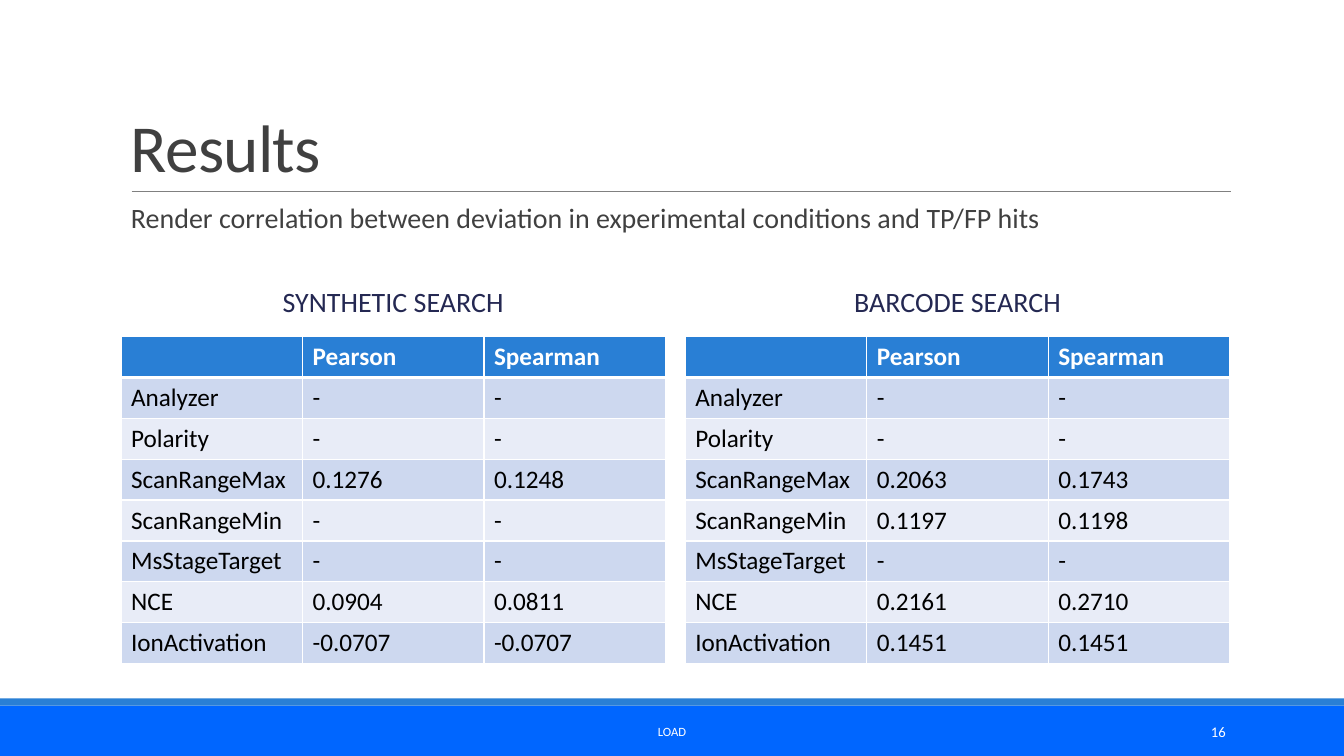
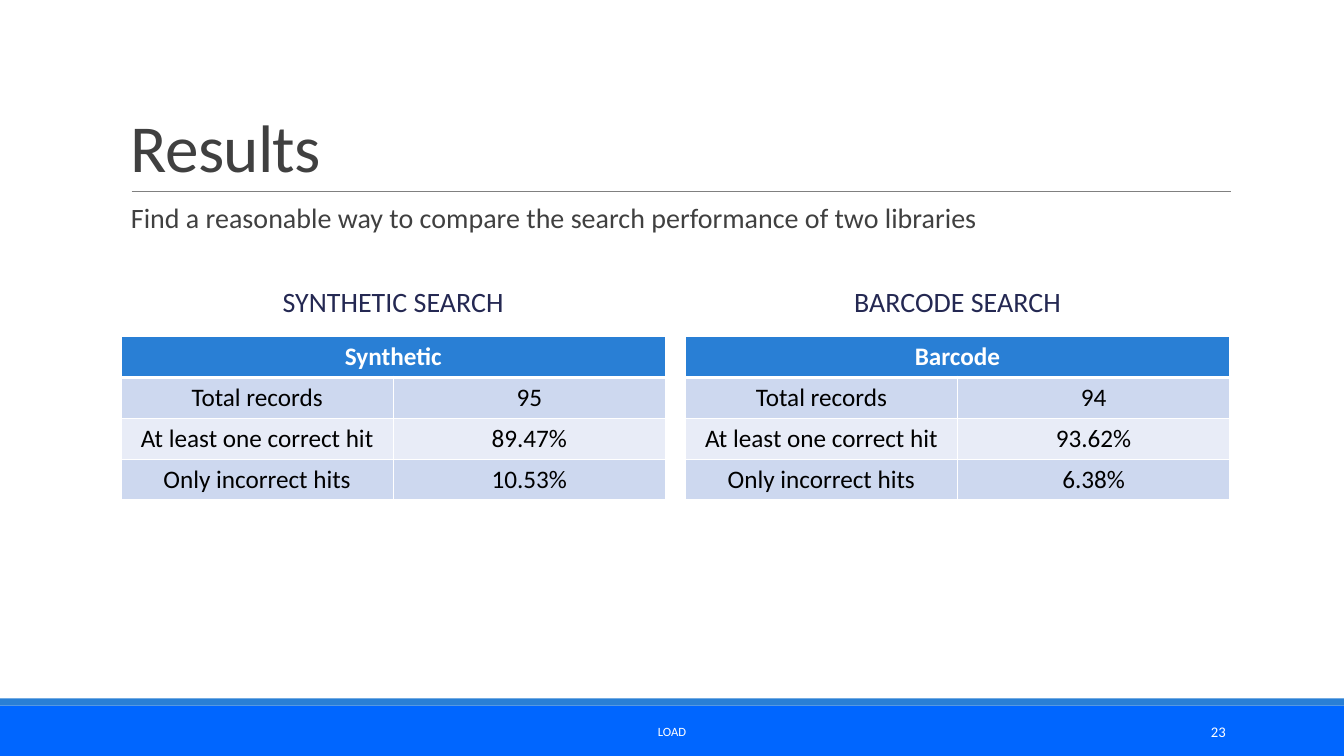
import pptx
import pptx.dml.color
import pptx.enum.shapes
import pptx.enum.text
import pptx.oxml
import pptx.oxml.ns
import pptx.util
from lxml import etree

Cm, Pt = pptx.util.Cm, pptx.util.Pt
ALIGN, ANCHOR = pptx.enum.text.PP_ALIGN, pptx.enum.text.MSO_ANCHOR
SHAPE, LINE = pptx.enum.shapes.MSO_SHAPE, pptx.enum.shapes.MSO_CONNECTOR
qn = pptx.oxml.ns.qn

SLIDE_W, SLIDE_H = 33.87, 19.05
FONT = "Calibri"
WHITE, BLACK, GREY, NAVY = "FFFFFF", "000000", "404040", "242852"
ACCENT, FOOTER, RULE = "297FD5", "0066FF", "808080"
BANDS = "CDD8EF", "E8ECF7"

LEFT, CONTENT_W, GAP = 3.05, 27.94, 0.5
COLUMN_W = (CONTENT_W - GAP) / 2
COLUMN_X = LEFT, LEFT + COLUMN_W + GAP
HEADING_Y, TABLE_Y, ROW_H = 6.99, 8.48, 1.03
FOOTER_Y, FOOTER_TEXT_Y, FOOTER_TEXT_H = 17.78, 17.93, 1.02

BODY = {"line_spacing": 0.9, "space_before": Pt(12), "space_after": Pt(2)}
HEADINGS = "SYNTHETIC SEARCH", "BARCODE SEARCH"
CONDITIONS = ("Analyzer", "Polarity", "ScanRangeMax", "ScanRangeMin",
              "MsStageTarget", "NCE", "IonActivation")
PEARSON_SPEARMAN = (
    (("-", "-", "0.1276", "-", "-", "0.0904", "-0.0707"),
     ("-", "-", "0.1248", "-", "-", "0.0811", "-0.0707")),
    (("-", "-", "0.2063", "0.1197", "-", "0.2161", "0.1451"),
     ("-", "-", "0.1743", "0.1198", "-", "0.2710", "0.1451")),
)
MEASURES = "Total records", "At least one correct hit", "Only incorrect hits"
HIT_RATES = (("Synthetic", ("95", "89.47%", "10.53%")),
             ("Barcode", ("94", "93.62%", "6.38%")))


def rgb(value):
    return pptx.dml.color.RGBColor.from_string(value)


def apply(obj, values):
    """Set each attribute named in values on obj."""
    for name, value in values.items():
        setattr(obj, name, value)


def fill(target, color):
    target.fill.solid()
    target.fill.fore_color.rgb = rgb(color)


def write(tf, text, size, color, bold=False, **paragraph):
    """Put one formatted run in the first paragraph and return it."""
    p = tf.paragraphs[0]
    apply(p, paragraph)
    r = p.add_run()
    r.text = text
    apply(r.font, {"name": FONT, "size": Pt(size), "bold": bold})
    r.font.color.rgb = rgb(color)
    return r


def add_text(s, box, text, size, color, anchor=ANCHOR.MIDDLE, **paragraph):
    tf = s.shapes.add_textbox(*map(Cm, box)).text_frame
    apply(tf, {"word_wrap": True, "vertical_anchor": anchor})
    return write(tf, text, size, color, **paragraph)


def add_band(s, top, height, color):
    sp = s.shapes.add_shape(SHAPE.RECTANGLE, 0, Cm(top), Cm(SLIDE_W), Cm(height))
    sp.shadow.inherit = False
    sp.line.fill.background()
    fill(sp, color)


def add_rule(s, x1, x2, y):
    line = s.shapes.add_connector(LINE.STRAIGHT, Cm(x1), Cm(y), Cm(x2), Cm(y))
    line.line.width = Pt(0.5)
    line.line.color.rgb = rgb(RULE)
    etree.SubElement(line._element.spPr, qn("a:effectLst"))


def add_borders(cell, **widths):
    """Draw white cell borders; widths in points are keyed L, R, T, B."""
    tcPr = cell._tc.get_or_add_tcPr()
    for side, width in widths.items():
        ln = etree.SubElement(tcPr, qn(f"a:ln{side}"), w=str(Pt(width)))
        color = etree.SubElement(ln, qn("a:solidFill"))
        etree.SubElement(color, qn("a:srgbClr"), val=WHITE)


def add_table(s, x, rows, centred=False):
    n_rows, n_cols = len(rows), len(rows[0])
    table = s.shapes.add_table(n_rows, n_cols, Cm(x), Cm(TABLE_Y),
                               Cm(COLUMN_W), Cm(ROW_H * n_rows)).table
    for i, row in enumerate(rows):
        table.rows[i].height = Cm(ROW_H)
        for j, text in enumerate(row):
            cell, header = table.cell(i, j), i == 0
            # Borders precede the fill in the cell's properties.
            add_borders(cell, L=1, R=1, T=3 if i == 1 else 1, B=3 if header else 1)
            fill(cell, ACCENT if header else BANDS[(i - 1) % 2])
            if centred:
                cell.vertical_anchor = ANCHOR.MIDDLE
            if text:
                write(cell.text_frame, text, 18, WHITE if header else BLACK,
                      bold=header, alignment=ALIGN.CENTER if centred else ALIGN.LEFT)
    return table


def add_results_slide(prs, subtitle, number):
    """Add a slide with the shared title, column headings and footer."""
    s = prs.slides.add_slide(prs.slide_layouts[6])
    add_band(s, FOOTER_Y, SLIDE_H - FOOTER_Y, FOOTER)
    add_band(s, FOOTER_Y - 0.18, 0.18, ACCENT)
    add_rule(s, 3.32, 31.01, 4.83)
    title = add_text(s, (LEFT, 0.79, CONTENT_W, 4.04), "Results", 48, GREY,
                     ANCHOR.BOTTOM, line_spacing=0.85)
    title._r.get_or_add_rPr().set("spc", "-50")
    add_text(s, (LEFT, 5.03, CONTENT_W, 1.78), subtitle, 20, GREY, ANCHOR.TOP, **BODY)
    for x, heading in zip(COLUMN_X, HEADINGS):
        add_text(s, (x, HEADING_Y, COLUMN_W, 1.3), heading, 20, NAVY,
                 alignment=ALIGN.CENTER, **BODY)
    add_text(s, (10.24, FOOTER_TEXT_Y, 13.39, FOOTER_TEXT_H), "LOAD", 9, WHITE,
             alignment=ALIGN.CENTER)
    add_text(s, (27.51, FOOTER_TEXT_Y, 3.63, FOOTER_TEXT_H), number, 10.5, WHITE,
             alignment=ALIGN.RIGHT)
    return s


def add_correlation_slide(prs):
    s = add_results_slide(prs, "Render correlation between deviation in experimental "
                               "conditions and TP/FP hits", "16")
    for x, (pearson, spearman) in zip(COLUMN_X, PEARSON_SPEARMAN):
        add_table(s, x, [("", "Pearson", "Spearman"),
                         *zip(CONDITIONS, pearson, spearman)])


def add_hit_rate_slide(prs):
    s = add_results_slide(prs, "Find a reasonable way to compare the search "
                               "performance of two libraries", "23")
    for x, (library, values) in zip(COLUMN_X, HIT_RATES):
        table = add_table(s, x, [(library, ""), *zip(MEASURES, values)], centred=True)
        table.cell(0, 0).merge(table.cell(0, 1))


def main():
    prs = pptx.Presentation()
    apply(prs, {"slide_width": Cm(SLIDE_W), "slide_height": Cm(SLIDE_H)})
    add_correlation_slide(prs)
    add_hit_rate_slide(prs)
    prs.save("out.pptx")


if __name__ == "__main__":
    main()
